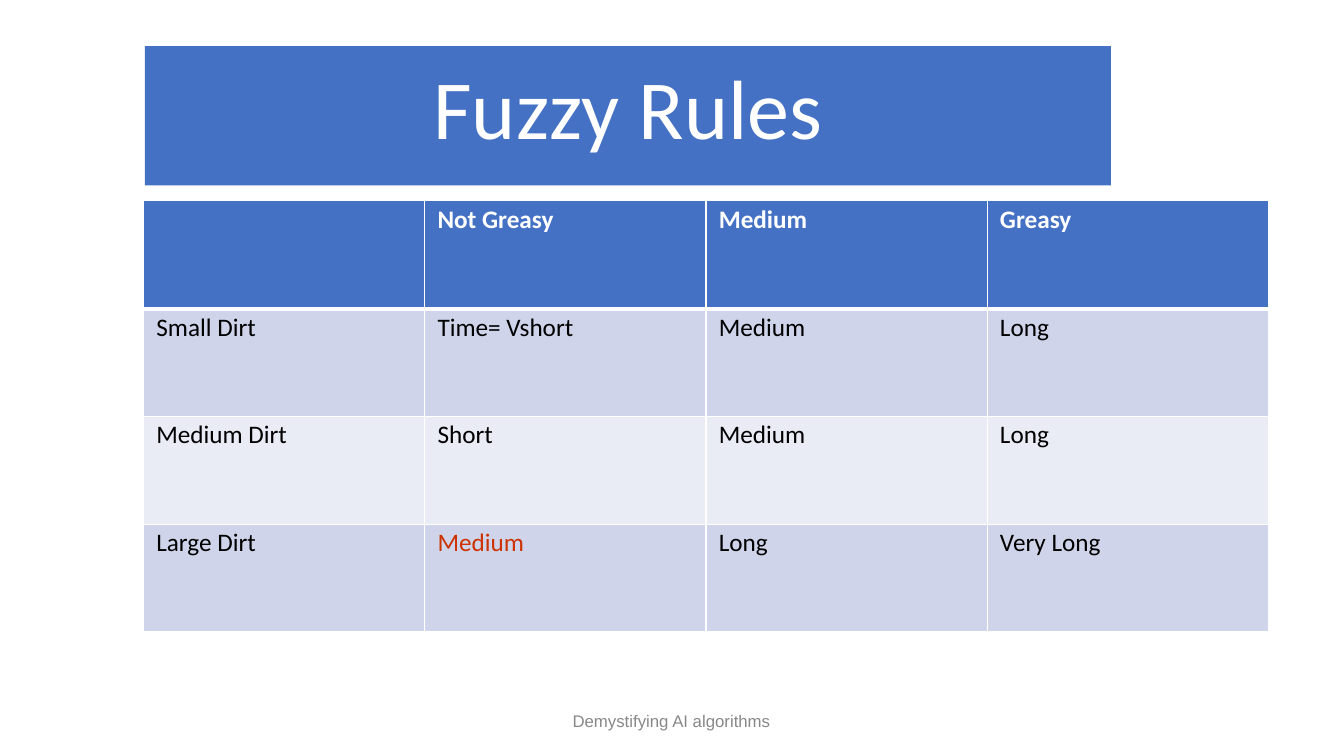
from dataclasses import dataclass

from lxml.etree import SubElement
from pptx import Presentation
from pptx.dml.color import RGBColor
from pptx.enum.shapes import MSO_SHAPE
from pptx.enum.text import MSO_ANCHOR, PP_ALIGN
from pptx.oxml.ns import qn
from pptx.util import Pt


@dataclass(frozen=True)
class Theme:
    """Colours, fonts and type sizes of the slide."""
    accent: str = "4471C4"
    bands: tuple = ("CFD4EA", "E9EBF5")
    light: str = "FFFFFF"
    dark: str = "000000"
    highlight: str = "CC3300"
    muted: str = "888888"
    body_font: str = "Calibri"
    footer_font: str = "Arial"
    title_size: float = 60
    body_size: float = 18
    footer_size: float = 12


THEME = Theme()
RULES = [
    ["", "Not Greasy", "Medium", "Greasy"],
    ["Small Dirt", "Time= Vshort", "Medium", "Long"],
    ["Medium Dirt", "Short", "Medium", "Long"],
    ["Large Dirt", "Medium", "Long", "Very Long"],
]
HIGHLIGHTED = (3, 1)


def write(frame, text, font_name, size, color, bold=False):
    """Put one styled paragraph in a text frame and return it."""
    paragraph = frame.paragraphs[0]
    paragraph.text = text
    font = paragraph.font
    font.name, font.size, font.bold = font_name, Pt(size), bold
    font.color.rgb = RGBColor.from_string(color)
    return paragraph


def set_margins(area, left=0, top=0):
    """Set the left and top margins of a cell or frame and clear the others."""
    area.margin_left, area.margin_top = Pt(left), Pt(top)
    area.margin_right = area.margin_bottom = 0


def add_title(slide, left, top, width, height):
    """Draw the title banner."""
    banner = slide.shapes.add_shape(
        MSO_SHAPE.RECTANGLE, Pt(left), Pt(top), Pt(width), Pt(height))
    banner.shadow.inherit = False
    banner.fill.solid()
    banner.fill.fore_color.rgb = RGBColor.from_string(THEME.accent)
    banner.line.fill.background()
    frame = banner.text_frame
    frame.word_wrap = True
    frame.vertical_anchor = MSO_ANCHOR.TOP
    set_margins(frame, top=6.5)
    title = write(frame, "Fuzzy Rules", THEME.body_font, THEME.title_size, THEME.light)
    title.alignment = PP_ALIGN.CENTER


def set_borders(cell, top, bottom):
    """Give a cell light borders with the given top and bottom widths."""
    properties = cell._tc.get_or_add_tcPr()
    for side, width in (("L", 1), ("R", 1), ("T", top), ("B", bottom)):
        border = SubElement(properties, qn(f"a:ln{side}"), w=str(Pt(width)))
        fill = SubElement(border, qn("a:solidFill"))
        SubElement(fill, qn("a:srgbClr"), val=THEME.light)


def add_rules(slide, left, top, width, height):
    """Draw the rule table with a header row and banded body rows."""
    table = slide.shapes.add_table(
        len(RULES), len(RULES[0]), Pt(left), Pt(top), Pt(width), Pt(height)).table
    for column in table.columns:
        column.width = Pt(width / len(RULES[0]))
    for row_index, rule in enumerate(RULES):
        table.rows[row_index].height = Pt(height / len(RULES))
        header = row_index == 0
        background = THEME.accent if header else THEME.bands[(row_index - 1) % 2]
        for column_index, label in enumerate(rule):
            cell = table.cell(row_index, column_index)
            set_margins(cell, left=9.2, top=2.4)
            set_borders(cell, 3 if row_index == 1 else 1, 3 if header else 1)
            cell.fill.solid()
            cell.fill.fore_color.rgb = RGBColor.from_string(background)
            color = THEME.light if header else THEME.dark
            if (row_index, column_index) == HIGHLIGHTED:
                color = THEME.highlight
            write(cell.text_frame, label, THEME.body_font, THEME.body_size, color, header)


def add_footer(slide, left, top, width, height):
    """Write the footer line."""
    frame = slide.shapes.add_textbox(
        Pt(left), Pt(top), Pt(width), Pt(height)).text_frame
    frame.word_wrap = True
    set_margins(frame, left=1)
    footer = write(frame, "Demystifying AI algorithms",
                   THEME.footer_font, THEME.footer_size, THEME.muted)
    footer.line_spacing = Pt(14.3)


def main():
    """Build and save the slide."""
    presentation = Presentation()
    presentation.slide_width, presentation.slide_height = Pt(960), Pt(540)
    slide = presentation.slides.add_slide(presentation.slide_layouts[6])
    add_title(slide, 103.5, 33, 690, 99.5)
    add_rules(slide, 102.5, 143.5, 803.5, 308)
    add_footer(slide, 408, 507.5, 148, 15)
    presentation.save("out.pptx")


if __name__ == "__main__":
    main()
